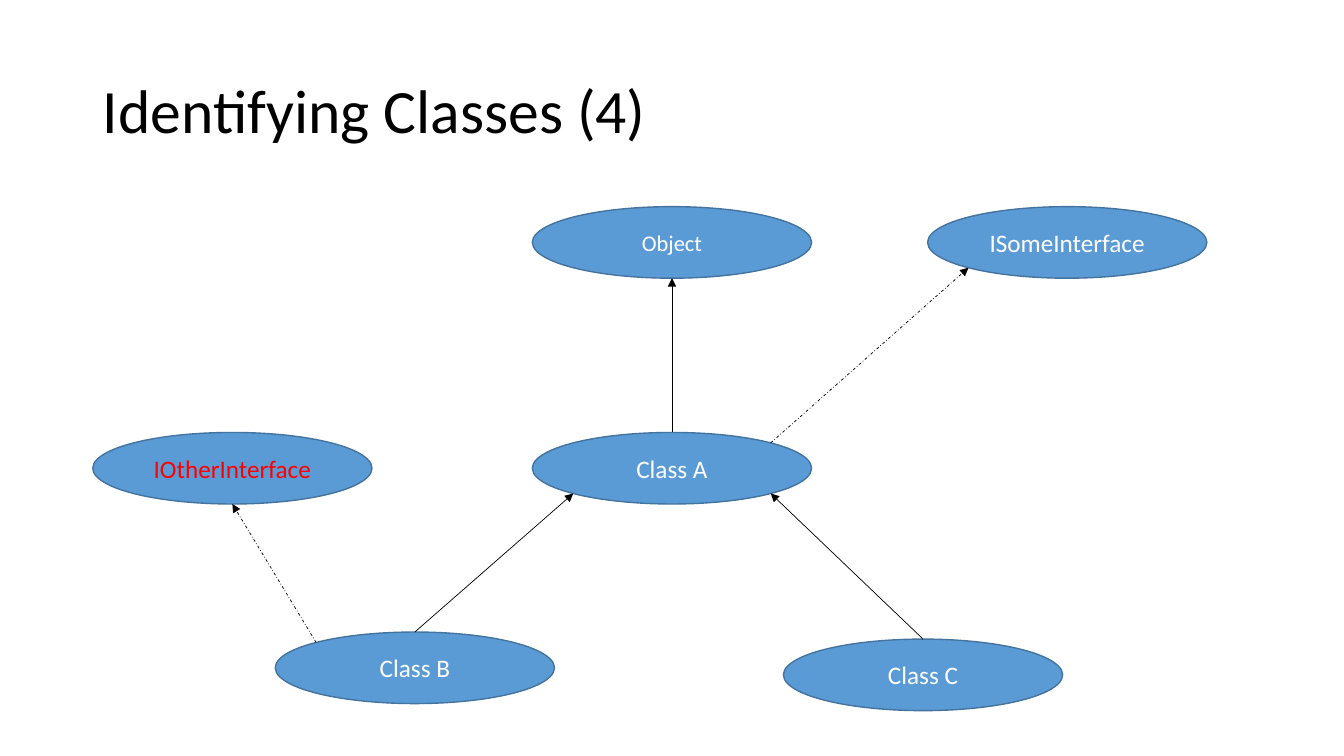
from math import cos, radians, sin

from lxml import etree
from pptx import Presentation
from pptx.dml.color import RGBColor
from pptx.enum import dml, shapes, text
from pptx.oxml import ns
from pptx.util import Inches, Pt

NODE_W, NODE_H = 2.77, 0.71
ANGLES = {"right": 0, "bottom right": 45, "bottom": 90, "bottom left": 135,
          "top left": 225, "top": 270, "top right": 315}
NODES = {
    "Object": (4.36, 0, 16, "FFFFFF"),
    "ISomeInterface": (8.28, 0, 18, "FFFFFF"),
    "IOtherInterface": (0, 2.24, 18, "FF0000"),
    "Class A": (4.36, 2.24, 18, "FFFFFF"),
    "Class B": (1.81, 4.22, 18, "FFFFFF"),
    "Class C": (6.85, 4.29, 18, "FFFFFF"),
}
EXTENDS = [
    ("Class A", "top", "Object", "bottom"),
    ("Class B", "top", "Class A", "bottom left"),
    ("Class C", "top", "Class A", "bottom right"),
]
IMPLEMENTS = [
    ("Class A", "top right", "ISomeInterface", "bottom left"),
    ("Class B", "top left", "IOtherInterface", "bottom"),
]


def color(value):
    return RGBColor.from_string(value)


def format_run(p, size, font_color):
    font = p.runs[0].font
    font.name = "Calibri"
    font.size = Pt(size)
    font.color.rgb = color(font_color)


def add_title(s, title, left, top, width, height):
    sp = s.shapes.title
    sp.left, sp.top, sp.width, sp.height = map(Inches, (left, top, width, height))
    tf = sp.text_frame
    tf.text = title
    tf.auto_size = text.MSO_AUTO_SIZE.NONE
    tf.vertical_anchor = text.MSO_ANCHOR.MIDDLE
    p = tf.paragraphs[0]
    p.alignment = text.PP_ALIGN.LEFT
    p.line_spacing = 0.9
    format_run(p, 44, "000000")


def add_node(s, name, left, top, size, font_color):
    sp = s.shapes.add_shape(shapes.MSO_SHAPE.OVAL, Inches(left), Inches(top),
                            Inches(NODE_W), Inches(NODE_H))
    sp.shadow.inherit = False
    sp.fill.solid()
    sp.fill.fore_color.rgb = color("5B9BD5")
    sp.line.color.rgb = color("43739E")
    sp.line.width = Pt(1)
    tf = sp.text_frame
    tf.text = name
    tf.vertical_anchor = text.MSO_ANCHOR.MIDDLE
    p = tf.paragraphs[0]
    p.alignment = text.PP_ALIGN.CENTER
    format_run(p, size, font_color)
    return sp


def edge_point(sp, side):
    angle = radians(ANGLES[side])
    return (round(sp.left + sp.width / 2 * (1 + cos(angle))),
            round(sp.top + sp.height / 2 * (1 + sin(angle))))


def add_arrow(s, start, end, dash=None):
    line = s.shapes.add_connector(shapes.MSO_CONNECTOR.STRAIGHT, *start, *end)
    line.line.color.rgb = color("000000")
    line.line.width = Pt(0.5)
    if dash:
        line.line.dash_style = dash
    sp_pr = line._element.spPr
    tail = etree.SubElement(sp_pr.find(ns.qn("a:ln")), ns.qn("a:tailEnd"))
    tail.set("type", "triangle")
    etree.SubElement(sp_pr, ns.qn("a:effectLst"))


def add_class_diagram(s, left, top):
    nodes = {name: add_node(s, name, left + x, top + y, size, font_color)
             for name, (x, y, size, font_color) in NODES.items()}
    for links, dash in ((EXTENDS, None), (IMPLEMENTS, dml.MSO_LINE.DASH_DOT)):
        for child, child_side, parent, parent_side in links:
            add_arrow(s, edge_point(nodes[child], child_side),
                      edge_point(nodes[parent], parent_side), dash)


def main():
    prs = Presentation()
    prs.slide_width, prs.slide_height = Inches(13.33), Inches(7.5)
    s = prs.slides.add_slide(prs.slide_layouts[5])
    add_title(s, "Identifying Classes (4)", 0.92, 0.4, 11.5, 1.45)
    add_class_diagram(s, 0.92, 2.05)
    prs.save("out.pptx")


if __name__ == "__main__":
    main()
